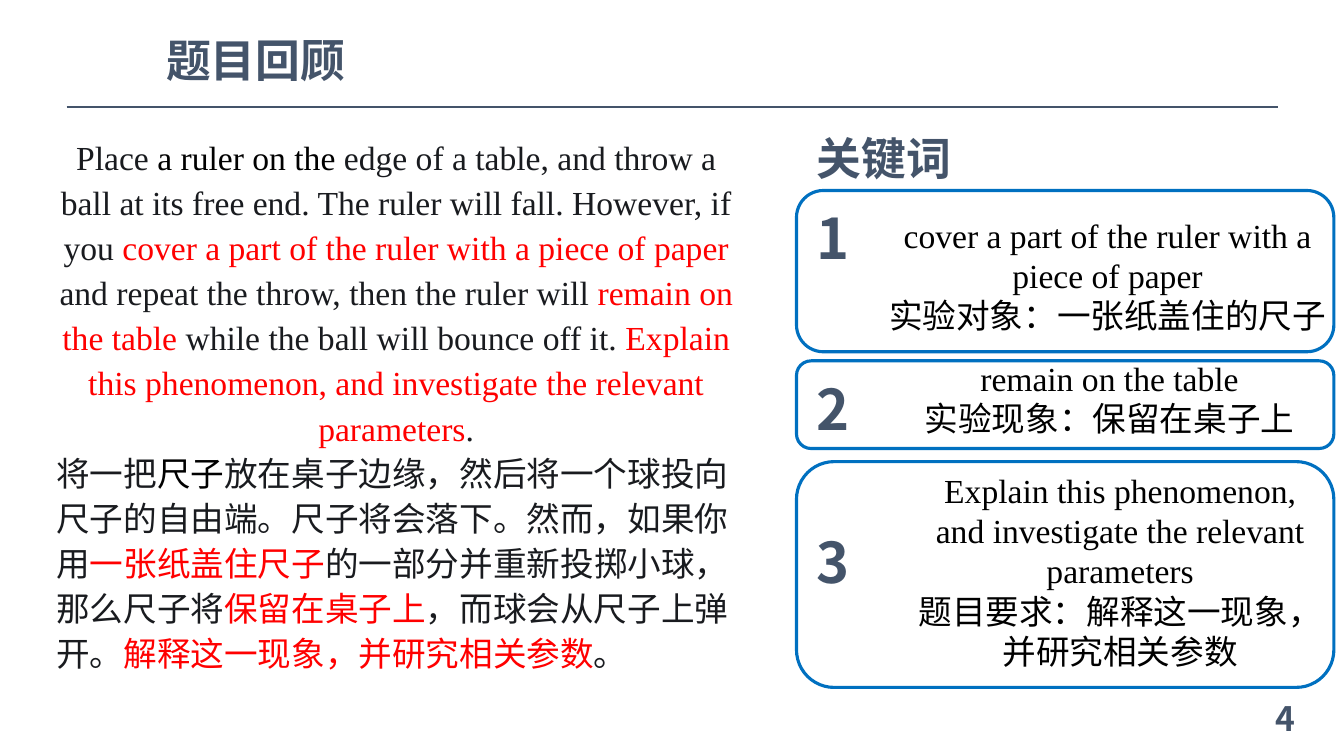
from dataclasses import dataclass

from lxml import etree
from pptx import Presentation
from pptx import util as u
from pptx.dml.color import RGBColor
from pptx.enum import shapes, text
from pptx.oxml.ns import qn


@dataclass(frozen=True)
class Theme:
    navy: str = "44546A"
    blue: str = "0070C0"
    ink: str = "191B1F"
    black: str = "000000"
    red: str = "FF0000"
    sans: str = "Noto Sans CJK SC"
    serif: str = "Times New Roman"
    body: int = 24
    heading: int = 32
    numeral: int = 40
    rule: float = 1.75
    border: float = 2.25


class Deck:
    EMU_PER_PX = 9144

    def __init__(self, theme, width, height):
        self.theme = theme
        self.prs = Presentation()
        self.prs.slide_width = self.px(width)
        self.prs.slide_height = self.px(height)
        self.s = self.prs.slides.add_slide(self.prs.slide_layouts[6])

    def px(self, n):
        return u.Emu(n * self.EMU_PER_PX)

    def box(self, *frame):
        return [self.px(n) for n in frame]

    def rule(self, x1, y1, x2, y2):
        line = self.s.shapes.add_connector(
            shapes.MSO_CONNECTOR.STRAIGHT, *self.box(x1, y1, x2, y2))
        line.line.color.rgb = RGBColor.from_string(self.theme.navy)
        line.line.width = u.Pt(self.theme.rule)
        etree.SubElement(line._element.spPr, qn("a:effectLst"))

    def frame(self, x, y, w, h):
        sp = self.s.shapes.add_shape(
            shapes.MSO_SHAPE.ROUNDED_RECTANGLE, *self.box(x, y, w, h))
        sp.shadow.inherit = False
        sp.fill.background()
        sp.line.color.rgb = RGBColor.from_string(self.theme.blue)
        sp.line.width = u.Pt(self.theme.border)

    def run(self, p, words, face, color, size, bold=False):
        r = p.add_run()
        r.text = words
        for name, value in {"name": face, "size": u.Pt(size), "bold": bold}.items():
            setattr(r.font, name, value)
        r.font.color.rgb = RGBColor.from_string(color)
        latin = r.font._element.find(qn("a:latin"))
        ea = etree.Element(qn("a:ea"), typeface=self.theme.sans)
        latin.addnext(ea)

    def textbox(self, frame, paragraphs, anchor=text.MSO_ANCHOR.TOP):
        tf = self.s.shapes.add_textbox(*self.box(*frame)).text_frame
        layout = {"word_wrap": True, "vertical_anchor": anchor,
                  "auto_size": text.MSO_AUTO_SIZE.SHAPE_TO_FIT_TEXT}
        for name, value in layout.items():
            setattr(tf, name, value)
        for i, (style, runs) in enumerate(paragraphs):
            p = tf.add_paragraph() if i else tf.paragraphs[0]
            for name, value in style.items():
                setattr(p, name, value)
            for r in runs:
                self.run(p, *r)

    def label(self, frame, words, size, align=text.PP_ALIGN.LEFT,
              anchor=text.MSO_ANCHOR.TOP):
        run = (words, self.theme.sans, self.theme.navy, size, True)
        self.textbox(frame, [({"alignment": align}, [run])], anchor)

    def passage(self, frame, paragraphs):
        self.textbox(frame, [
            ({"alignment": align, "line_spacing": 1.12},
             [(words, face, color, self.theme.body) for words, color in runs])
            for align, face, runs in paragraphs])

    def keyword(self, number, frame, number_frame, text_frame, english, chinese):
        t = self.theme
        self.textbox(text_frame, [
            ({"alignment": text.PP_ALIGN.CENTER}, [(words, face, t.black, t.body)])
            for words, face in ((english, t.serif), (chinese, t.sans))])
        self.label(number_frame, str(number), t.numeral)
        self.frame(*frame)


def main():
    t = Theme()
    d = Deck(t, 1333, 750)
    d.rule(66, 106, 1268, 106)
    d.label((995, 687, 300, 50), "4", t.body, text.PP_ALIGN.RIGHT,
            text.MSO_ANCHOR.MIDDLE)
    d.label((800, 125, 168, 64), "关键词", t.heading)
    d.label((155, 28, 220, 64), "题目回顾", t.heading)

    english = [
        ("Place ", t.ink),
        ("a ruler on the ", t.black),
        ("edge of a table, and throw a ball at its free end. The ruler will fall. "
         "However, if you ", t.ink),
        ("cover a part of the ruler with a piece of paper ", t.red),
        ("and repeat the throw, then the ruler will ", t.ink),
        ("remain on the table", t.red),
        (" while the ball will bounce off it. ", t.ink),
        ("Explain this phenomenon, and investigate the relevant parameters", t.red),
        (".", t.ink),
    ]
    chinese = [
        ("将一把", t.ink),
        ("尺子", t.black),
        ("放在桌子边缘，然后将一个球投向尺子的自由端。尺子将会落下。然而，如果你用", t.ink),
        ("一张纸盖住尺子", t.red),
        ("的一部分并重新投掷小球，那么尺子将", t.ink),
        ("保留在桌子上", t.red),
        ("，而球会从尺子上弹开。", t.ink),
        ("解释这一现象，并研究相关参数", t.red),
        ("。", t.ink),
    ]
    d.passage((46, 126, 694, 556), [
        (text.PP_ALIGN.CENTER, t.serif, english),
        (text.PP_ALIGN.LEFT, t.sans, chinese),
    ])

    keywords = [
        ((189, 160), (197, 86), (863, 208, 471, 131),
         "cover a part of the ruler with a piece of paper",
         "实验对象：一张纸盖住的尺子"),
        ((358, 87), (367, 107), (886, 350, 429, 91),
         "remain on the table",
         "实验现象：保留在桌子上"),
        ((458, 224), (518, 115), (899, 461, 424, 212),
         "Explain this phenomenon, and investigate the relevant parameters",
         "题目要求：解释这一现象，并研究相关参数"),
    ]
    for i, ((top, height), (num_top, num_width), text_frame, en, zh) in enumerate(keywords, 1):
        d.keyword(i, (790, top, 533, height), (800, num_top, num_width, 77),
                  text_frame, en, zh)

    d.prs.save("out.pptx")


if __name__ == "__main__":
    main()
